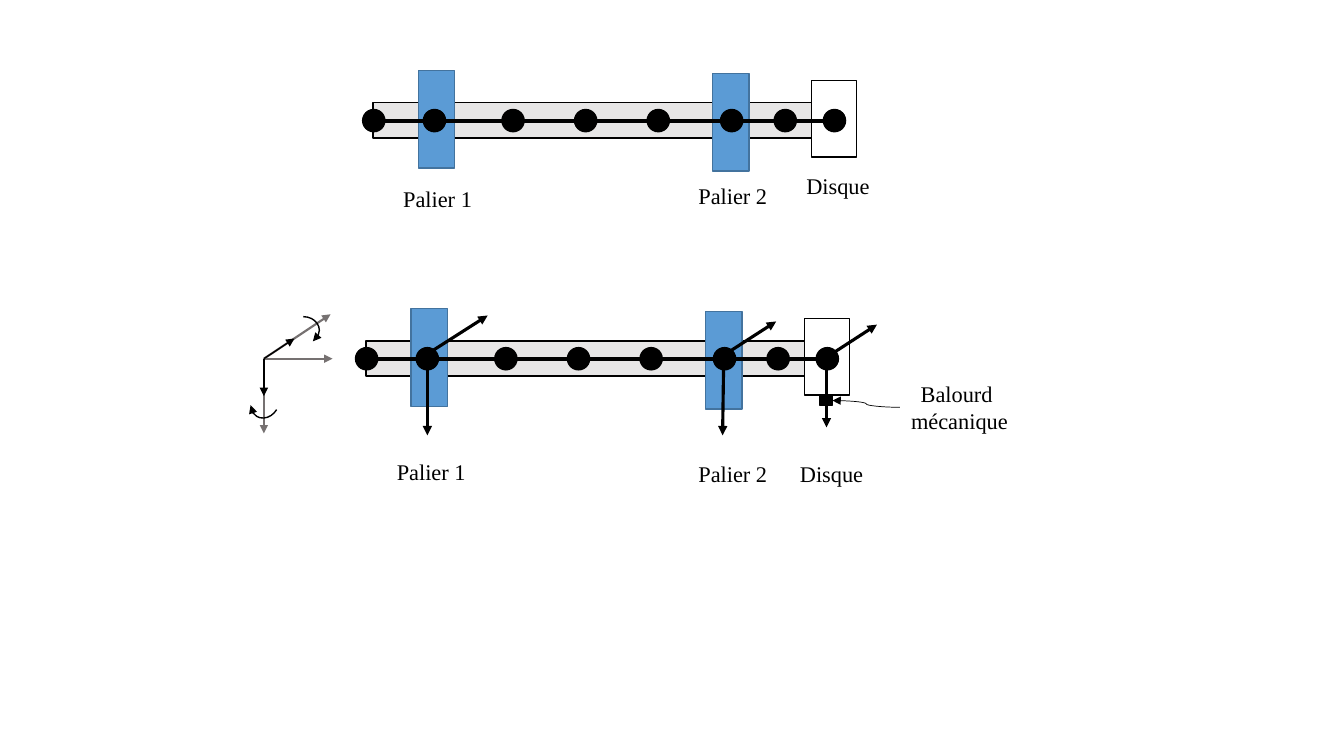
from dataclasses import dataclass
from itertools import pairwise

from lxml import etree
from pptx import Presentation
from pptx.dml.color import RGBColor
from pptx.enum import shapes, text
from pptx.oxml.ns import qn
from pptx.shapes.autoshape import Shape
from pptx.shapes.connector import Connector
from pptx.shapes.shapetree import SlideShapes
from pptx.util import Cm, Pt


@dataclass(frozen=True)
class Theme:
    black: str = "000000"
    white: str = "FFFFFF"
    shaft: str = "E7E6E6"
    bearing: str = "5B9BD5"
    bearing_edge: str = "43739E"
    axis: str = "767171"
    font: str = "Times New Roman"
    label_size: float = 16
    outline: float = 1
    axis_width: float = 1.5
    force_width: float = 2.25
    link_width: float = 3
    leader_width: float = 0.5


THEME = Theme()


# All lengths below are in centimetres.
@dataclass(frozen=True)
class Box:
    left: float
    top: float
    width: float
    height: float
    fill: str | None = None
    edge: str = THEME.black
    kind: shapes.MSO_SHAPE = shapes.MSO_SHAPE.RECTANGLE
    rotation: float = 0


@dataclass(frozen=True)
class Label:
    words: str
    left: float
    top: float
    width: float = 2.29
    height: float = 0.94


@dataclass(frozen=True)
class Arrow:
    start: tuple[float, float]
    end: tuple[float, float]
    color: str = THEME.black
    width: float = THEME.force_width


ROTOR = [
    Box(9.4, 2.59, 11.18, 0.89, THEME.shaft),
    Box(20.45, 2.03, 1.14, 1.93, THEME.white),
    Box(10.54, 1.78, 0.92, 2.46, THEME.bearing, THEME.bearing_edge),
    Box(17.96, 1.85, 0.92, 2.46, THEME.bearing, THEME.bearing_edge),
]
NODE_LEFTS = [9.14, 10.67, 12.65, 14.48, 16.31, 18.16, 19.51, 20.75]
NODE_TOP = 2.76
NODE_SIZE = 0.56
LOADED_OFFSET = (-0.18, 6.0)

LABELS = [
    Label("Palier 1", 9.91, 4.55),
    Label("Palier 2", 17.35, 4.47),
    Label("Disque", 20.07, 4.22, 2.13),
    Label("Palier 1", 9.75, 11.43),
    Label("Palier 2", 17.35, 11.48),
    Label("Disque", 19.91, 11.46, 2.13),
]
UNBALANCE = Box(20.65, 9.98, 0.33, 0.23, THEME.black)
UNBALANCE_LABEL = Label("Balourd \vmécanique", 22.68, 9.45, 3.0, 1.63)

ORIGIN = (6.65, 9.04)
AXES = [
    Arrow(ORIGIN, end, THEME.axis, THEME.axis_width)
    for end in [(8.38, 9.04), (6.65, 10.92), (8.33, 7.92)]
]
DISPLACEMENTS = [
    Arrow(ORIGIN, end, width=THEME.outline) for end in [(6.65, 9.98), (7.42, 8.53)]
]
ROTATIONS = [
    Box(6.27, 9.8, 0.81, 0.69, kind=shapes.MSO_SHAPE.ARC, rotation=121),
    Box(7.24, 7.98, 0.81, 0.69, kind=shapes.MSO_SHAPE.ARC),
]
FORCES = [
    Arrow((20.85, 8.99), (22.1, 8.18)),
    Arrow((20.83, 8.92), (20.83, 10.77)),
    Arrow((18.21, 8.97), (19.56, 8.1)),
    Arrow((18.24, 8.97), (18.21, 10.97)),
    Arrow((10.77, 8.92), (12.29, 7.95)),
    Arrow((10.77, 8.92), (10.77, 10.97)),
]


def add_arrowhead(shape: Shape | Connector) -> None:
    line = shape.element.spPr.find(qn("a:ln"))
    etree.SubElement(line, qn("a:tailEnd"), type="triangle")


def add_box(tree: SlideShapes, box: Box, dx: float = 0, dy: float = 0) -> Shape:
    shape = tree.add_shape(
        box.kind, Cm(box.left + dx), Cm(box.top + dy), Cm(box.width), Cm(box.height)
    )
    shape.shadow.inherit = False
    shape.rotation = box.rotation
    if box.fill:
        shape.fill.solid()
        shape.fill.fore_color.rgb = RGBColor.from_string(box.fill)
    else:
        shape.fill.background()
    shape.line.color.rgb = RGBColor.from_string(box.edge)
    shape.line.width = Pt(THEME.outline)
    return shape


def add_line(
    tree: SlideShapes,
    arrow: Arrow,
    head: bool = True,
    kind: shapes.MSO_CONNECTOR = shapes.MSO_CONNECTOR.STRAIGHT,
) -> Connector:
    connector = tree.add_connector(kind, *map(Cm, arrow.start + arrow.end))
    connector.line.color.rgb = RGBColor.from_string(arrow.color)
    connector.line.width = Pt(arrow.width)
    etree.SubElement(connector.element.spPr, qn("a:effectLst"))
    if head:
        add_arrowhead(connector)
    return connector


def add_label(tree: SlideShapes, label: Label) -> Shape:
    shape = tree.add_textbox(
        Cm(label.left), Cm(label.top), Cm(label.width), Cm(label.height)
    )
    frame = shape.text_frame
    frame.word_wrap = False
    frame.auto_size = text.MSO_AUTO_SIZE.SHAPE_TO_FIT_TEXT
    frame.text = label.words
    paragraph = frame.paragraphs[0]
    paragraph.font.name = THEME.font
    paragraph.font.size = Pt(THEME.label_size)
    paragraph.font.color.rgb = RGBColor.from_string(THEME.black)
    return shape


def add_rotor(tree: SlideShapes, dx: float = 0, dy: float = 0) -> None:
    """Draw shaft, disc and bearings, then the chain of nodes and links."""
    for part in ROTOR:
        add_box(tree, part, dx, dy)
    for left in NODE_LEFTS:
        node = Box(left, NODE_TOP, NODE_SIZE, NODE_SIZE, THEME.black,
                   kind=shapes.MSO_SHAPE.OVAL)
        add_box(tree, node, dx, dy)
    middle = NODE_TOP + NODE_SIZE / 2 + dy
    for left, following in pairwise(NODE_LEFTS):
        link = Arrow((left + NODE_SIZE + dx, middle), (following + dx, middle),
                     width=THEME.link_width)
        add_line(tree, link, head=False)


def add_unbalance(tree: SlideShapes) -> None:
    mass = add_box(tree, UNBALANCE)
    label = add_label(tree, UNBALANCE_LABEL)
    label.text_frame.paragraphs[0].alignment = text.PP_ALIGN.CENTER
    leader = Arrow((22.68, 10.26), (20.98, 10.1), width=THEME.leader_width)
    connector = add_line(tree, leader, kind=shapes.MSO_CONNECTOR.CURVE)
    connector.begin_connect(label, 1)
    connector.end_connect(mass, 3)


def main() -> None:
    presentation = Presentation()
    presentation.slide_width, presentation.slide_height = Cm(33.87), Cm(19.05)
    tree = presentation.slides.add_slide(presentation.slide_layouts[6]).shapes
    add_rotor(tree)
    add_rotor(tree, *LOADED_OFFSET)
    add_unbalance(tree)
    for label in LABELS:
        add_label(tree, label)
    for arrow in AXES + DISPLACEMENTS + FORCES:
        add_line(tree, arrow)
    for rotation in ROTATIONS:
        arc = add_box(tree, rotation)
        arc.adjustments[0], arc.adjustments[1] = 162, 29.33
        add_arrowhead(arc)
    presentation.save("out.pptx")


if __name__ == "__main__":
    main()
